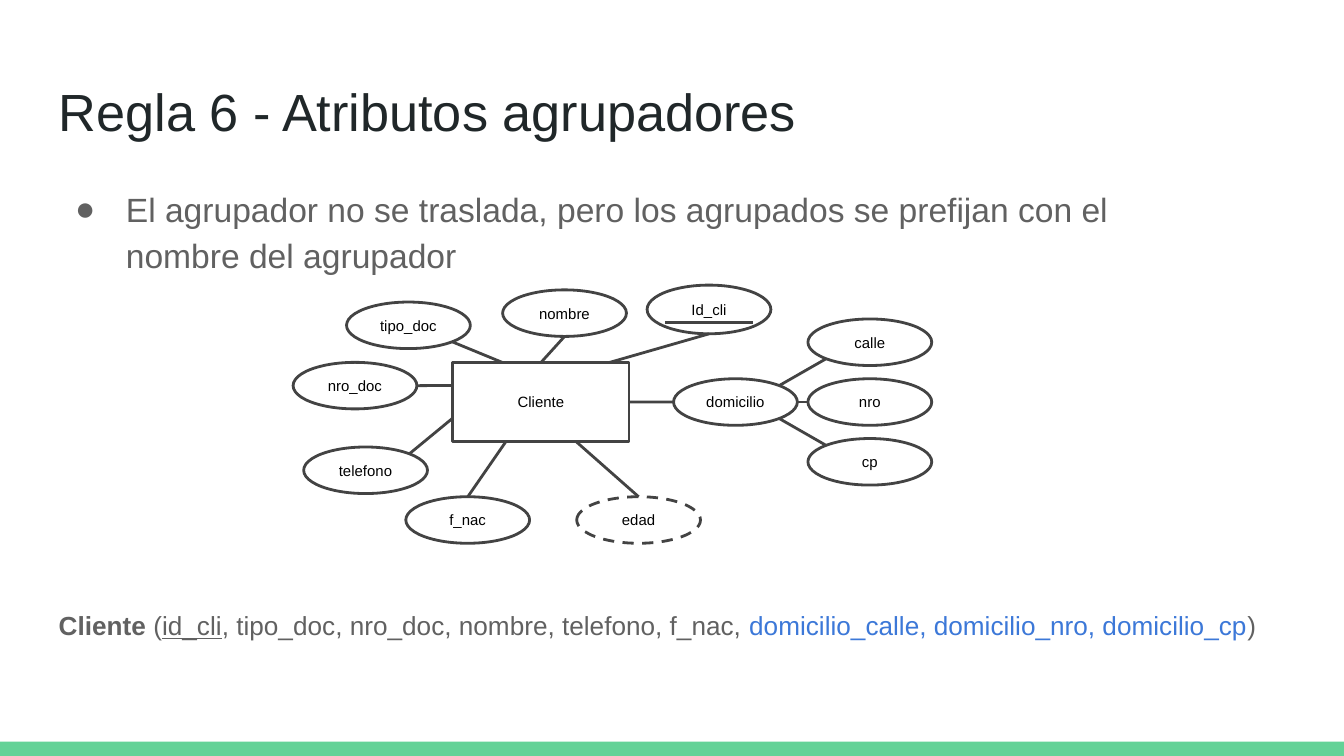
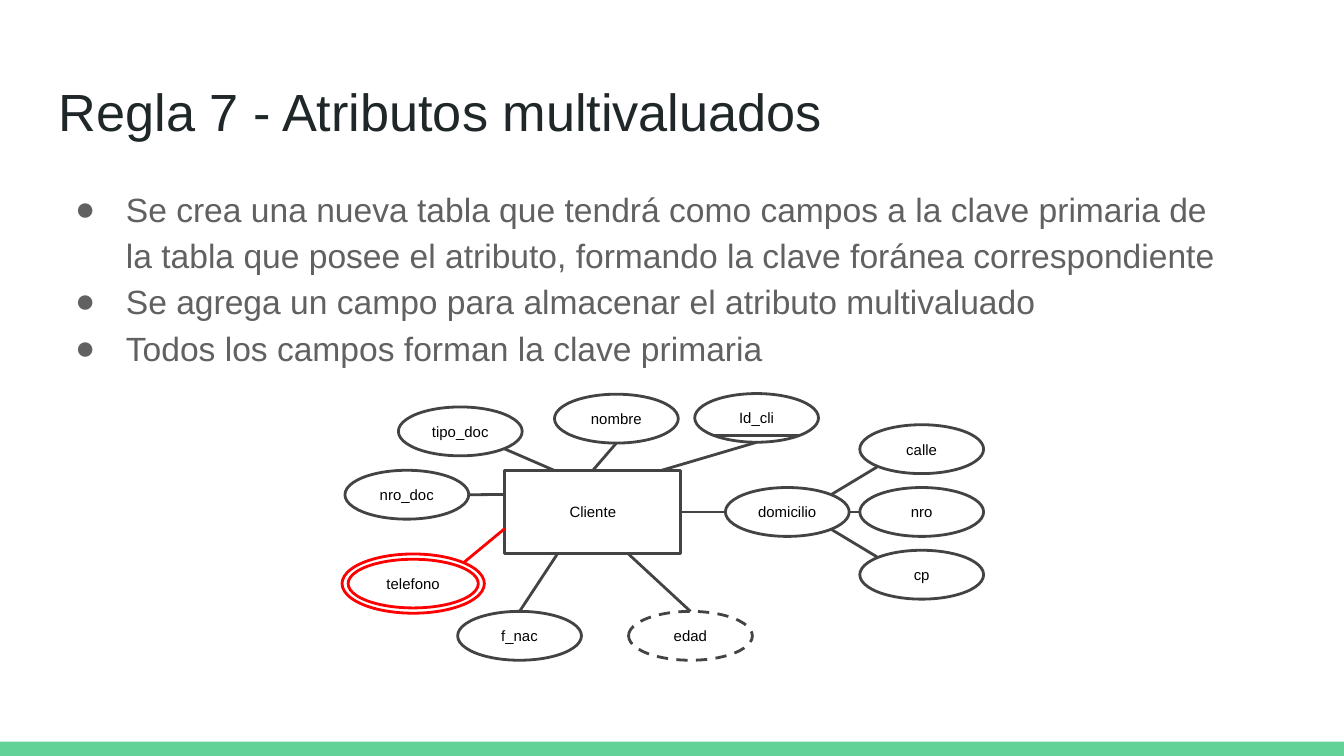
"""Build two slides on mapping entity attributes to relational tables."""
from dataclasses import dataclass
from math import cos, radians, sin

from lxml import etree
from pptx import Presentation, util as u
from pptx.dml.color import RGBColor
from pptx.enum import dml, shapes, text
from pptx.oxml import ns


@dataclass(frozen=True)
class Theme:
    font: str = "Arial"
    title: str = "202729"
    body: str = "616161"
    accent: str = "3C78D8"
    band: str = "63D297"
    outline: str = "434343"
    highlight: str = "FF0000"
    label: str = "000000"
    title_size: int = 28
    body_size: int = 18
    schema_size: int = 14
    label_size: int = 8
    line_width: float = 1.5


@dataclass(frozen=True)
class Diagram:
    left: float
    top: float
    stretch: float
    key_center: tuple
    key_drop: float
    multivalued: tuple = ()


THEME = Theme()
PAGE_WIDTH, PAGE_HEIGHT = 25.4, 14.29
MARGIN = 0.86
INSET = 0.25
ENTITY_WIDTH, ENTITY_HEIGHT = 3.33, 1.5
OVAL_WIDTH, OVAL_HEIGHT = 2.34, 0.88
KEY_HEIGHT, KEY_RULE = 0.92, 1.65
BRANCH_GAP = 1.13

# Each attribute: centre from the entity corner, angle of its joint, joint on the entity as fractions.
ATTRIBUTES = {
    "tipo_doc": (-0.84, -0.7, 45, 0.28, 0),
    "nro_doc": (-1.85, 0.44, 0, 0, 0.29),
    "telefono": (-1.65, 2.04, -45, 0, 0.7),
    "nombre": (2.11, -0.93, 90, 0.5, 0),
    "edad": (3.51, 2.98, -90, 0.7, 1),
    "f_nac": (0.28, 2.98, -90, 0.3, 1),
    "domicilio": (5.34, 0.75, 180, 1, 0.5),
}
BRANCHES = {"calle": (-1, -45, 135), "nro": (0, 0, 180), "cp": (1, 45, -135)}
BRANCH_X = 7.88
DERIVED = "edad"
GROUPER = "domicilio"


def style_font(font, size, color):
    """Apply the theme font with a size and a colour."""
    font.name = THEME.font
    font.size = u.Pt(size)
    font.color.rgb = RGBColor.from_string(color)


def style_line(line, color):
    """Give an outline the common width and a colour."""
    line.color.rgb = RGBColor.from_string(color)
    line.width = u.Pt(THEME.line_width)


def set_insets(frame):
    """Set equal insets on all four sides."""
    frame.margin_left = frame.margin_right = u.Cm(INSET)
    frame.margin_top = frame.margin_bottom = u.Cm(INSET)


def add_text(page, top, width, height):
    """Add a wrapping text box at the left margin and return its frame."""
    box = page.shapes.add_textbox(u.Cm(MARGIN), u.Cm(top), u.Cm(width), u.Cm(height))
    frame = box.text_frame
    frame.word_wrap = True
    set_insets(frame)
    return frame


def add_page(deck, title):
    """Add a blank page with the bottom band and a title."""
    page = deck.slides.add_slide(deck.slide_layouts[6])
    band = page.shapes.add_shape(
        shapes.MSO_SHAPE.RECTANGLE, 0, u.Cm(14.02), u.Cm(PAGE_WIDTH), u.Cm(0.27))
    band.shadow.inherit = False
    band.fill.solid()
    band.fill.fore_color.rgb = RGBColor.from_string(THEME.band)
    band.line.fill.background()
    para = add_text(page, 1.24, 23.67, 1.6).paragraphs[0]
    para.text = title
    style_font(para.font, THEME.title_size, THEME.title)
    return page


def add_bullet(para):
    """Turn a paragraph into a hanging bullet."""
    properties = para._p.get_or_add_pPr()
    properties.set("marL", str(u.Cm(1.27)))
    properties.set("indent", str(u.Cm(-0.96)))
    color = etree.SubElement(properties, ns.qn("a:buClr"))
    etree.SubElement(color, ns.qn("a:srgbClr"), val=THEME.body)
    etree.SubElement(properties, ns.qn("a:buFont"), typeface=THEME.font)
    etree.SubElement(properties, ns.qn("a:buChar"), char="●")


def add_bullets(page, width, lines):
    """Add the bulleted body text."""
    frame = add_text(page, 3.2, width, 1.4)
    for index, line in enumerate(lines):
        para = frame.add_paragraph() if index else frame.paragraphs[0]
        para.text = line
        add_bullet(para)
        para.line_spacing = 1.15
        style_font(para.font, THEME.body_size, THEME.body)


def add_schema(page, table, key, fields, prefixed):
    """Add the relational schema with its key and prefixed fields marked."""
    para = add_text(page, 11.18, 24.05, 1.4).paragraphs[0]
    para.line_spacing = 1.15
    para.space_after = u.Pt(16)
    style_font(para.font, THEME.schema_size, THEME.body)
    pieces = (table, " (", key, f", {fields}, ", prefixed, ")")
    spans = []
    for piece in pieces:
        span = para.add_run()
        span.text = piece
        spans.append(span)
    spans[0].font.bold = True
    spans[2].font.underline = True
    spans[4].font.color.rgb = RGBColor.from_string(THEME.accent)


def add_node(group, kind, center, size, label="", color=THEME.outline):
    """Add an outlined, optionally labelled shape around a centre."""
    (x, y), (width, height) = center, size
    node = group.shapes.add_shape(
        kind, u.Cm(x - width / 2), u.Cm(y - height / 2), u.Cm(width), u.Cm(height))
    node.shadow.inherit = False
    node.fill.background()
    style_line(node.line, color)
    if label:
        frame = node.text_frame
        frame.word_wrap = False
        frame.vertical_anchor = text.MSO_ANCHOR.MIDDLE
        set_insets(frame)
        para = frame.paragraphs[0]
        para.text = label
        para.alignment = text.PP_ALIGN.CENTER
        style_font(para.font, THEME.label_size, THEME.label)
    return node


def add_oval(group, center, label="", size=(OVAL_WIDTH, OVAL_HEIGHT), color=THEME.outline):
    """Add an attribute oval."""
    return add_node(group, shapes.MSO_SHAPE.OVAL, center, size, label, color)


def add_double_oval(group, center, label):
    """Add a highlighted multivalued attribute and return its outer oval."""
    x, y = center
    center = (x - 0.08, y)
    outer = add_oval(group, center, size=(2.69, 1.12), color=THEME.highlight)
    add_oval(group, center, label, (2.46, 0.92), THEME.highlight)
    return outer


def rim(oval, degrees):
    """Return the point of an oval at an angle, clockwise from the right."""
    angle = radians(degrees)
    return (int(oval.left + oval.width * (1 + cos(angle)) / 2),
            int(oval.top + oval.height * (1 + sin(angle)) / 2))


def edge(entity, across, down):
    """Return the point of an entity at fractions of its size."""
    return int(entity.left + entity.width * across), int(entity.top + entity.height * down)


def add_link(group, start, end, color=THEME.outline):
    """Draw a straight line between two points."""
    link = group.shapes.add_connector(shapes.MSO_CONNECTOR.STRAIGHT, *start, *end)
    style_line(link.line, color)
    etree.SubElement(link._element.spPr, ns.qn("a:effectLst"))


def add_key(group, entity, diagram):
    """Add the key attribute with its rule and link."""
    x, y = diagram.key_center
    key = add_oval(group, (x, y), "Id_cli", (OVAL_WIDTH, KEY_HEIGHT))
    rule_y = u.Cm(y + diagram.key_drop)
    add_link(group, (u.Cm(x - KEY_RULE / 2), rule_y), (u.Cm(x + KEY_RULE / 2), rule_y))
    add_link(group, rim(key, 90), edge(entity, 0.89, 0))


def add_diagram(page, diagram):
    """Draw the client entity with all its attributes."""
    group = page.shapes.add_group_shape()
    size = (OVAL_WIDTH, OVAL_HEIGHT * diagram.stretch)

    def place(x, y):
        """Map an offset from the entity corner to the page."""
        return diagram.left + x, diagram.top + y * diagram.stretch

    entity = add_node(
        group, shapes.MSO_SHAPE.RECTANGLE, place(ENTITY_WIDTH / 2, ENTITY_HEIGHT / 2),
        (ENTITY_WIDTH, ENTITY_HEIGHT * diagram.stretch), "Cliente")
    ovals = {}
    for name, (x, y, angle, across, down) in ATTRIBUTES.items():
        multiple = name in diagram.multivalued
        if multiple:
            oval = add_double_oval(group, place(x, y), name)
        else:
            oval = add_oval(group, place(x, y), name, size)
        color = THEME.highlight if multiple else THEME.outline
        add_link(group, rim(oval, angle), edge(entity, across, down), color)
        ovals[name] = oval
    ovals[DERIVED].line.dash_style = dml.MSO_LINE.DASH
    for name, (step, start, end) in BRANCHES.items():
        center = place(BRANCH_X, ENTITY_HEIGHT / 2 + step * BRANCH_GAP)
        oval = add_oval(group, center, name, size)
        add_link(group, rim(ovals[GROUPER], start), rim(oval, end))
    add_key(group, entity, diagram)


def main():
    """Build and save the deck."""
    deck = Presentation()
    deck.slide_width, deck.slide_height = u.Cm(PAGE_WIDTH), u.Cm(PAGE_HEIGHT)

    page = add_page(deck, "Regla 6 - Atributos agrupadores")
    add_bullets(page, 20.98, [
        "El agrupador no se traslada, pero los agrupados se prefijan con el nombre del agrupador",
    ])
    add_schema(page, "Cliente", "id_cli", "tipo_doc, nro_doc, nombre, telefono, f_nac",
               "domicilio_calle, domicilio_nro, domicilio_cp")
    add_diagram(page, Diagram(8.56, 6.85, 1, (13.4, 5.85), 0.24))

    page = add_page(deck, "Regla 7 - Atributos multivaluados")
    add_bullets(page, 22.5, [
        "Se crea una nueva tabla que tendrá como campos a la clave primaria de la tabla "
        "que posee el atributo, formando la clave foránea correspondiente",
        "Se agrega un campo para almacenar el atributo multivaluado",
        "Todos los campos forman la clave primaria",
    ])
    add_diagram(page, Diagram(9.54, 8.89, 1.05, (14.3, 7.9), 0.33, ("telefono",)))

    deck.save("out.pptx")


if __name__ == "__main__":
    main()
